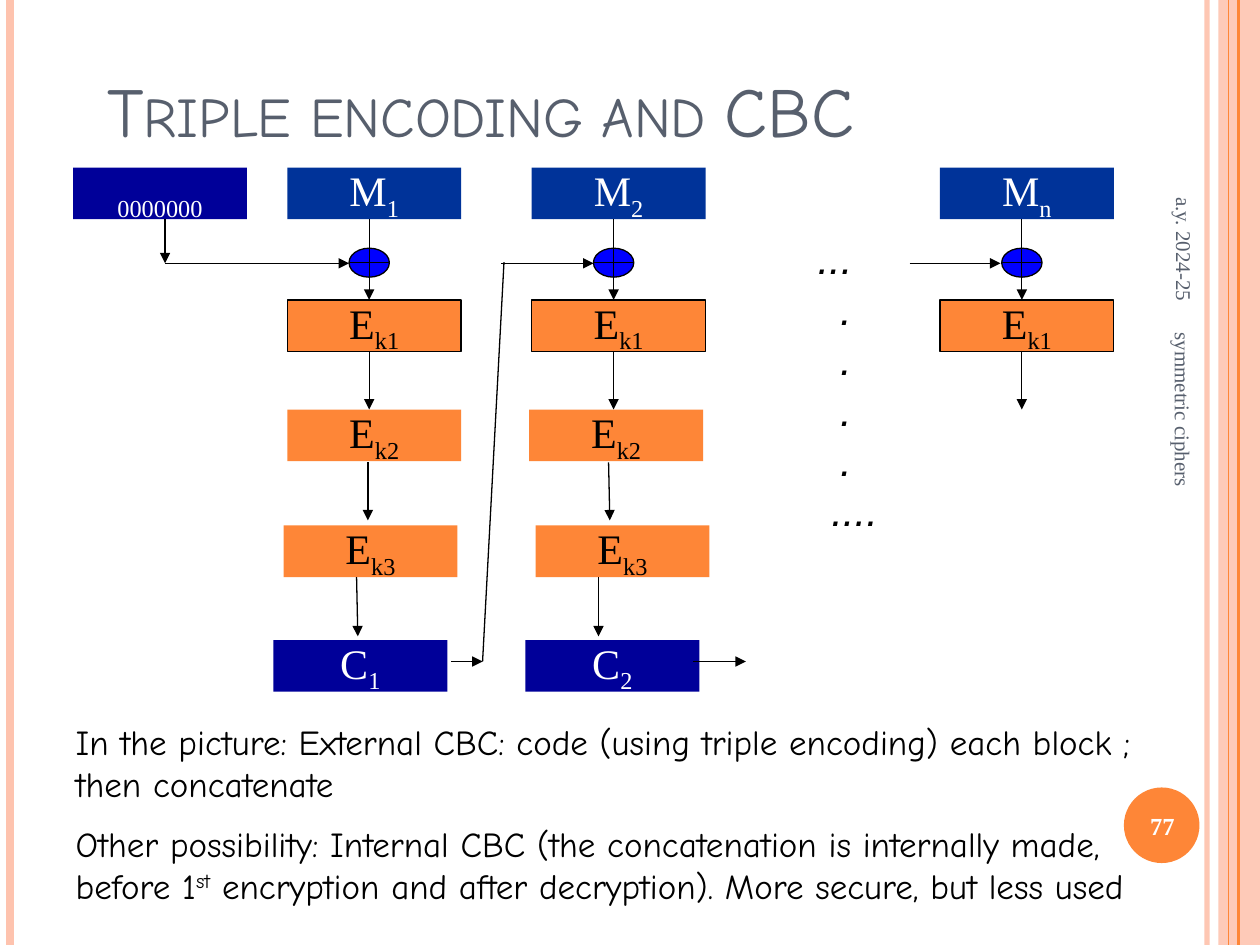
from dataclasses import dataclass
from typing import NamedTuple

from lxml.etree import SubElement
from pptx import Presentation
from pptx.dml.color import RGBColor
from pptx.enum.shapes import MSO_CONNECTOR, MSO_SHAPE
from pptx.enum.text import MSO_ANCHOR, MSO_AUTO_SIZE, PP_ALIGN
from pptx.oxml.ns import qn
from pptx.util import Inches, Pt


@dataclass(frozen=True)
class Theme:
    serif: str = "Times New Roman"
    hand: str = "Comic Neue"
    sans: str = "Arial"
    ink: str = "000000"
    white: str = "FFFFFF"
    slate: str = "575F6D"
    orange: str = "FE8637"
    peach: str = "FEC3AE"
    royal: str = "003399"
    navy: str = "000099"
    blue: str = "0000FF"
    title: int = 40
    label: int = 24
    body: int = 20
    page: int = 14
    foot: int = 12
    wire: float = 0.75


class Box(NamedTuple):
    x: float
    y: float
    base: str
    sub: str
    fill: str
    ink: str = "FFFFFF"
    edge: bool = False


class Wire(NamedTuple):
    x1: float
    y1: float
    x2: float
    y2: float
    head: bool = True


class Rule(NamedTuple):
    x: float
    width: float
    color: str
    alpha: int = 100


class Note(NamedTuple):
    x: float
    y: float
    w: float
    h: float
    text: str
    size: int
    color: str
    align: PP_ALIGN
    turn: int = 0
    bold: bool = False


T = Theme()
BOX_W, BOX_H = 1.38, 0.41
XOR_W, XOR_H = 0.32, 0.23
TOP, XOR_Y, KEY_Y, OUT_Y = 1.33, 1.97, 2.38, 5.08
MID = 2.09  # height of the chaining wires

prs = Presentation()
prs.slide_width, prs.slide_height = Inches(10), Inches(7.5)
slide = prs.slides.add_slide(prs.slide_layouts[1])
shapes = slide.shapes


def fade(part, alpha: int) -> None:
    """Set the opacity, in percent, of the solid fill under part."""
    tint = next(part.iter(qn("a:srgbClr")))
    SubElement(tint, qn("a:alpha")).set("val", str(alpha * 1000))


def add_run(para, text: str, font: str, size: int, color: str, base: int = 0):
    run = para.add_run()
    run.text = text
    run.font.name, run.font.size = font, Pt(size)
    run.font.color.rgb = RGBColor.from_string(color)
    if base:
        run.font._element.set("baseline", str(base * 1000))
    return run


def add_form(kind, x: float, y: float, w: float, h: float, fill: str, edge: bool = False):
    form = shapes.add_shape(kind, Inches(x), Inches(y), Inches(w), Inches(h))
    form.shadow.inherit = False
    form.fill.solid()
    form.fill.fore_color.rgb = RGBColor.from_string(fill)
    if edge:
        form.line.color.rgb = RGBColor.from_string(T.ink)
        form.line.width = Pt(T.wire)
    else:
        form.line.fill.background()
    return form


def add_line(wire: Wire, color: str = T.ink, width: float = T.wire):
    ends = [Inches(v) for v in wire[:4]]
    line = shapes.add_connector(MSO_CONNECTOR.STRAIGHT, *ends)
    line.line.color.rgb = RGBColor.from_string(color)
    line.line.width = Pt(width)
    if wire.head:
        SubElement(line.line._get_or_add_ln(), qn("a:tailEnd")).set("type", "triangle")
    SubElement(line._element.spPr, qn("a:effectLst"))
    return line


def add_box(box: Box) -> None:
    form = add_form(MSO_SHAPE.RECTANGLE, box.x, box.y, BOX_W, BOX_H, box.fill, box.edge)
    frame = form.text_frame
    frame.word_wrap, frame.vertical_anchor = False, MSO_ANCHOR.MIDDLE
    para = frame.paragraphs[0]
    para.alignment = PP_ALIGN.CENTER
    if box.base:
        add_run(para, box.base, T.serif, T.label, box.ink)
    add_run(para, box.sub, T.serif, T.label, box.ink, -25)


def add_note(note: Note) -> None:
    area = shapes.add_textbox(*(Inches(v) for v in note[:4]))
    area.rotation = note.turn
    frame = area.text_frame
    frame.word_wrap, frame.vertical_anchor = True, MSO_ANCHOR.MIDDLE
    para = frame.paragraphs[0]
    para.alignment = note.align
    add_run(para, note.text, T.serif, note.size, note.color).font.bold = note.bold


def set_place(place, x: float, y: float, w: float, h: float, anchor):
    place.left, place.top, place.width, place.height = map(Inches, (x, y, w, h))
    frame = place.text_frame
    frame.auto_size, frame.vertical_anchor = MSO_AUTO_SIZE.NONE, anchor
    return frame


# Page frame
add_band = add_form(MSO_SHAPE.RECTANGLE, 9.67, 0, 0.33, 7.5, T.peach)
fade(add_band._element.spPr, 87)
for rule in (Rule(9.58, 3, T.peach, 93), Rule(0.08, 4.5, T.peach),
             Rule(9.83, 1.5, T.orange), Rule(9.75, 0.75, T.orange)):
    line = add_line(Wire(rule.x, 0, rule.x, 7.5, False), rule.color, rule.width)
    if rule.alpha < 100:
        fade(line._element.spPr, rule.alpha)
add_form(MSO_SHAPE.OVAL, 8.92, 6.25, 0.6, 0.6, T.orange)

# Title
head = set_place(shapes.title, 0.75, 0, 8.5, 1.25, MSO_ANCHOR.BOTTOM).paragraphs[0]
head.alignment = PP_ALIGN.LEFT
run = add_run(head, "Triple encoding and CBC", T.hand, T.title, T.slate)
run.font._element.set("cap", "small")

# Message, XOR and first key of each column
for x, index in ((2.28, "1"), (4.22, "2"), (7.46, "n")):
    mid = x + 0.65
    add_box(Box(x, TOP, "M", index, T.royal))
    add_box(Box(x, KEY_Y, "E", "k1", T.orange, T.ink, True))
    add_form(MSO_SHAPE.FLOWCHART_OR, mid - XOR_W / 2, XOR_Y, XOR_W, XOR_H, T.blue, True)
    add_line(Wire(mid, TOP + BOX_H, mid, XOR_Y, False))
    add_line(Wire(mid, XOR_Y + XOR_H, mid, KEY_Y))
    add_line(Wire(mid, KEY_Y + BOX_H, mid, 3.25))

# Start value, later keys and cipher blocks
for box in (Box(0.58, TOP, "", "0000000", T.navy),
            Box(2.28, 3.25, "E", "k2", T.orange, T.ink),
            Box(2.25, 4.17, "E", "k3", T.orange, T.ink),
            Box(2.17, OUT_Y, "C", "1", T.navy),
            Box(4.2, 3.25, "E", "k2", T.orange, T.ink),
            Box(4.25, 4.17, "E", "k3", T.orange, T.ink),
            Box(4.17, OUT_Y, "C", "2", T.navy)):
    add_box(box)

# Wires down the columns, then the chaining wires
for wire in (Wire(2.92, 3.67, 2.92, 4.13), Wire(2.83, 4.58, 2.84, 5.05),
             Wire(4.83, 3.67, 4.84, 4.13), Wire(4.75, 4.58, 4.75, 5.05),
             Wire(1.31, 1.74, 1.31, MID), Wire(1.31, MID, 2.77, MID),
             Wire(3.58, 5.25, 3.83, 5.25), Wire(4, 2.08, 3.83, 5.25, False),
             Wire(3.98, MID, 4.71, MID), Wire(5.5, 5.25, 5.92, 5.25),
             Wire(7.22, MID, 7.94, MID)):
    add_line(wire)

# Dots for the columns left out
dots = shapes.add_textbox(Inches(6.37), Inches(1.8), Inches(0.7), Inches(2.5)).text_frame
dots.word_wrap = False
rows = [("...", 0.02), *[(".", 0.2)] * 4, ("....", 0.13)]
for i, (text, indent) in enumerate(rows):
    para = dots.add_paragraph() if i else dots.paragraphs[0]
    para.alignment, para.line_spacing = PP_ALIGN.LEFT, Pt(28.8)
    para._p.get_or_add_pPr().set("marL", str(Inches(indent)))
    add_run(para, text, T.sans, T.label, T.ink).font.italic = True

# Explanation
body = set_place(slide.placeholders[1], 0.5, 5.67, 8.67, 1.95, MSO_ANCHOR.TOP)
lines = (
    [("In the picture: External CBC: code (using triple encoding) each block ; then concatenate", 0)],
    [("Other possibility: Internal CBC (the concatenation is internally made, before 1", 0),
     ("st", 30), (" encryption and after decryption). More secure, but less used", 0)],
)
for i, parts in enumerate(lines):
    para = body.add_paragraph() if i else body.paragraphs[0]
    para.alignment, para.space_before = PP_ALIGN.LEFT, Pt(10 * i)
    props = para._p.get_or_add_pPr()
    props.set("marL", "0")
    props.set("indent", "0")
    SubElement(props, qn("a:buNone"))
    for text, base in parts:
        add_run(para, text, T.hand, T.body, T.ink, base)

# Side notes and page number
for note in (Note(8.3, 1.18, 2.2, 0.42, "a.y. 2024-25", T.foot, T.slate, PP_ALIGN.RIGHT, 90),
             Note(8.89, 6.27, 0.67, 0.57, "77", T.page, T.white, PP_ALIGN.CENTER, 0, True),
             Note(7.64, 4.09, 3.5, 0.4, "symmetric ciphers", T.foot, T.slate, PP_ALIGN.LEFT, 90)):
    add_note(note)

prs.save("out.pptx")
